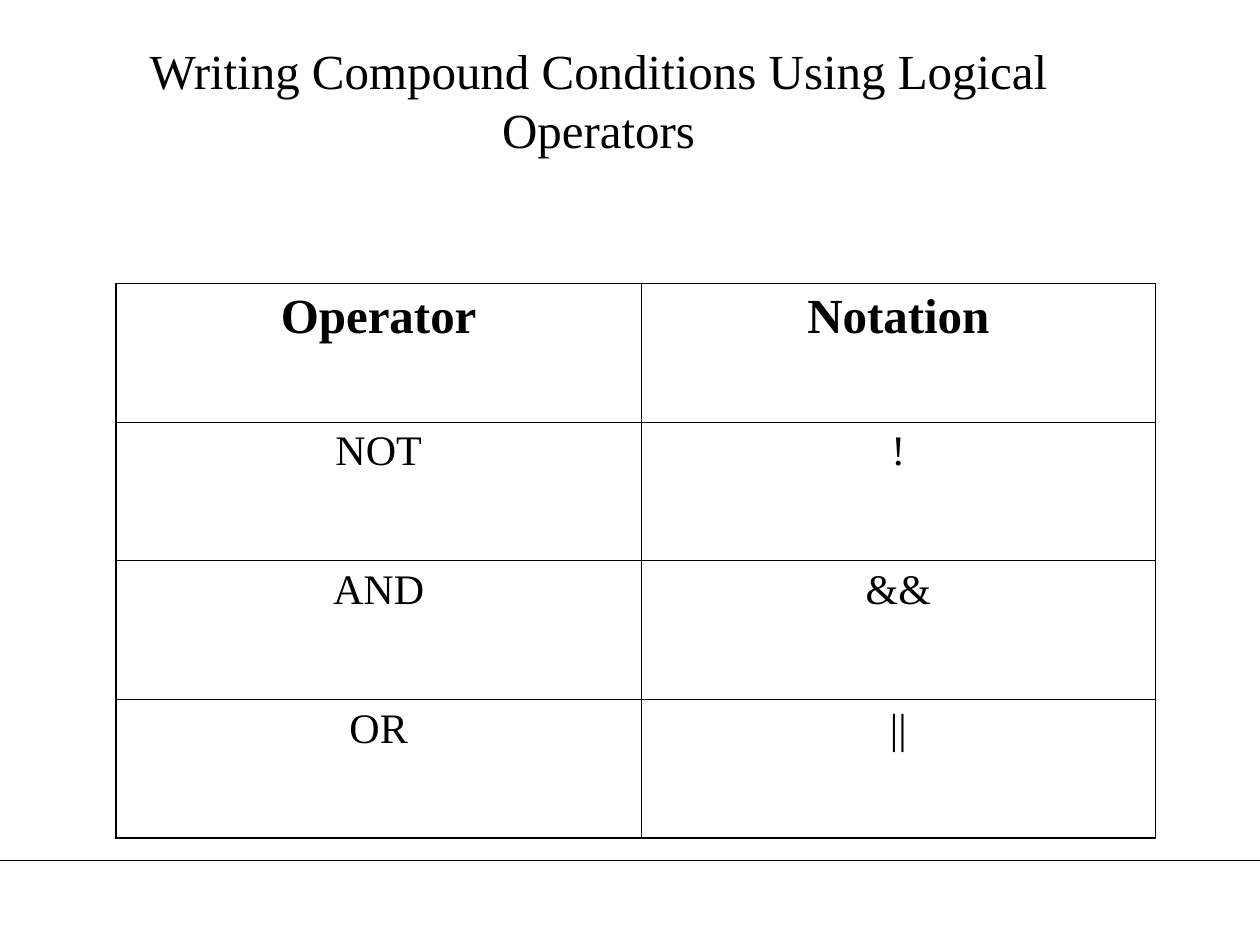
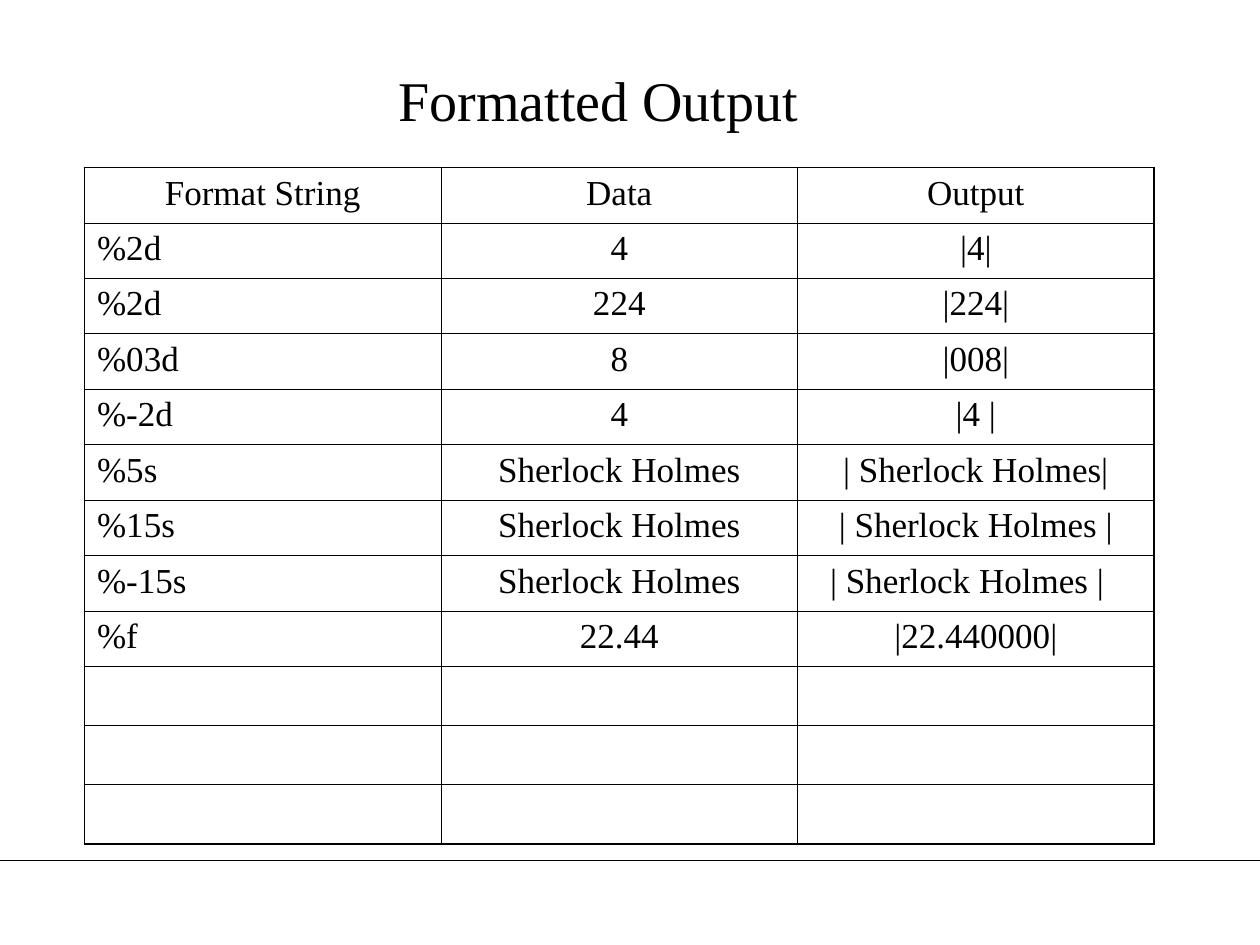
import pptx
import pptx.dml.color
import pptx.enum.shapes
import pptx.enum.text
import pptx.oxml
import pptx.oxml.ns
import pptx.util
from lxml import etree

Inches = pptx.util.Inches
Pt = pptx.util.Pt
ALIGN = pptx.enum.text.PP_ALIGN

COLORS = {"ink": "000000", "paper": "FFFFFF"}
FONT = "Times New Roman"
SLIDE_WIDTH, SLIDE_HEIGHT = 10, 7.5
TITLE_BOX = (0.5, 0.25, 8.5, 1.08)
FOOTER_TOP = 6.83
GRID_WIDTH, FRAME_WIDTH = 0.45, 1.08

OPERATORS = [
    ("Operator", "Notation"),
    ("NOT", "!"),
    ("AND", "&&"),
    ("OR", "||"),
]

FORMATS = [
    ("Format String", "Data", "Output"),
    ("%2d", "4", "|4|"),
    ("%2d", "224", "|224|"),
    ("%03d", "8", "|008|"),
    ("%-2d", "4", "|4 |"),
    ("%5s", "Sherlock Holmes", "| Sherlock Holmes|"),
    ("%15s", "Sherlock Holmes", "| Sherlock Holmes |"),
    ("%-15s", "Sherlock Holmes", "| Sherlock Holmes |"),
    ("%f", "22.44", "|22.440000|"),
]
SPARE_ROWS = 3
LEFT_PADDED_ROW = 7


def ink(name):
    return pptx.dml.color.RGBColor.from_string(COLORS[name])


def write(paragraph, text, size, align=ALIGN.CENTER, bold=False):
    paragraph.alignment = align
    run = paragraph.add_run()
    run.text = text
    run.font.name = FONT
    run.font.size = Pt(size)
    run.font.bold = bold
    run.font.color.rgb = ink("ink")


# Shared frame: background, title and footer rule
def add_title(slide, box, text, size):
    title = slide.shapes.add_textbox(*map(Inches, box)).text_frame
    title.word_wrap = True
    title.vertical_anchor = pptx.enum.text.MSO_ANCHOR.MIDDLE
    write(title.paragraphs[0], text, size)


def add_footer_rule(slide, top):
    rule = slide.shapes.add_connector(
        pptx.enum.shapes.MSO_CONNECTOR.STRAIGHT,
        0, Inches(top), Inches(SLIDE_WIDTH), Inches(top))
    rule.line.color.rgb = ink("ink")
    rule.line.width = Pt(0.75)
    properties = rule._element.spPr
    etree.SubElement(properties, pptx.oxml.ns.qn("a:effectLst"))


def add_framed_slide(deck, title, title_size):
    slide = deck.slides.add_slide(deck.slide_layouts[6])
    slide.background.fill.solid()
    slide.background.fill.fore_color.rgb = ink("paper")
    add_footer_rule(slide, FOOTER_TOP)
    add_title(slide, TITLE_BOX, title, title_size)
    return slide


# Ruled table: thin grid inside a heavier frame
def draw_borders(cell, on_frame):
    for side in "LRTB":
        width = Pt(FRAME_WIDTH if on_frame[side] else GRID_WIDTH)
        border = pptx.oxml.parse_xml(
            f'<a:ln{side} {pptx.oxml.ns.nsdecls("a")} w="{width}"><a:solidFill>'
            f'<a:srgbClr val="{COLORS["ink"]}"/></a:solidFill></a:ln{side}>')
        cell._tc.get_or_add_tcPr().append(border)


def add_ruled_table(slide, left, top, column_widths, row_heights):
    rows, columns = len(row_heights), len(column_widths)
    table = slide.shapes.add_table(
        rows, columns, Inches(left), Inches(top),
        Inches(sum(column_widths)), Inches(sum(row_heights))).table
    table.first_row = table.horz_banding = False
    for column, width in zip(table.columns, column_widths):
        column.width = Inches(width)
    for row, height in zip(table.rows, row_heights):
        row.height = Inches(height)
    for r in range(rows):
        for c in range(columns):
            cell = table.cell(r, c)
            draw_borders(cell, {"L": c == 0, "R": c == columns - 1,
                                "T": r == 0, "B": r == rows - 1})
            cell.fill.background()
    return table


# Slide types
def build_operators(deck):
    slide = add_framed_slide(
        deck, "Writing Compound Conditions Using Logical Operators", 28)
    table = add_ruled_table(slide, 0.92, 2.25, [4.17, 4.08],
                            [1.1] * len(OPERATORS))
    for r, row in enumerate(OPERATORS):
        for c, text in enumerate(row):
            header = r == 0
            write(table.cell(r, c).text_frame.paragraphs[0], text,
                  28 if header else 24, bold=header)


def build_formats(deck):
    slide = add_framed_slide(deck, "Formatted Output", 32)
    heights = [0.436] * len(FORMATS) + [0.47] * SPARE_ROWS
    heights = [round(height, 2) for height in heights]
    table = add_ruled_table(slide, 0.67, 1.33, [2.83] * 3, heights)
    for r, row in enumerate(FORMATS):
        for c, text in enumerate(row):
            align = ALIGN.LEFT if r > 0 and c == 0 else ALIGN.CENTER
            write(table.cell(r, c).text_frame.paragraphs[0], text, 20, align)
    # The left-justified output sits a little left of centre
    table.cell(LEFT_PADDED_ROW, 2).margin_right = Inches(0.24)


def main():
    deck = pptx.Presentation()
    deck.slide_width = Inches(SLIDE_WIDTH)
    deck.slide_height = Inches(SLIDE_HEIGHT)
    build_operators(deck)
    build_formats(deck)
    deck.save("out.pptx")


if __name__ == "__main__":
    main()
